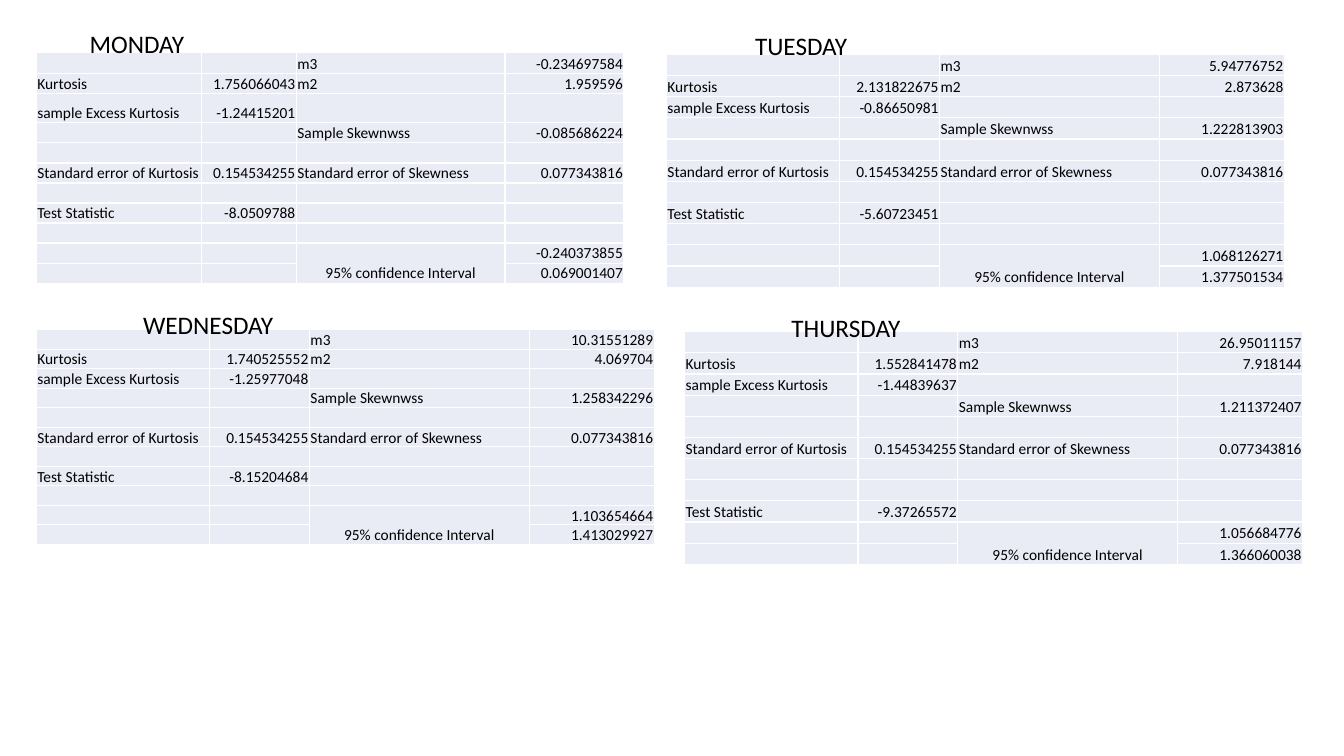
from lxml.etree import SubElement
from pptx import Presentation
from pptx.dml.color import RGBColor
from pptx.enum.text import MSO_ANCHOR, MSO_AUTO_SIZE, PP_ALIGN
from pptx.oxml.ns import qn
from pptx.util import Inches, Pt

FONT = "Calibri"
BLACK, WHITE, CELL_FILL = "000000", "FFFFFF", "E9EBF5"
ROW_COUNT = 11
INTERVAL_ROW = 9
NARROW_COLUMNS = (1.64, 0.94, 2.07, 1.18)
WIDE_COLUMNS = (1.72, 0.99, 2.18, 1.24)
MONDAY_ROWS = [0.21, 0.19, 0.29] + [0.19] * 8
ALIGNMENTS = (PP_ALIGN.LEFT, PP_ALIGN.RIGHT, PP_ALIGN.LEFT, PP_ALIGN.RIGHT)

# (row, column) of each label; its value stands in the next column
LABELS = {
    (0, 2): "m3",
    (1, 0): "Kurtosis",
    (1, 2): "m2",
    (2, 0): "sample Excess Kurtosis",
    (3, 2): "Sample Skewnwss",
    (5, 0): "Standard error of Kurtosis",
    (5, 2): "Standard error of Skewness",
    (INTERVAL_ROW, 2): "95% confidence Interval",
}

# Values follow the order of LABELS, then the upper end of the interval
DAYS = [
    {"name": "MONDAY", "title": (0.79, 0.23, 1.15), "table": (0.36, 0.52, 5.82, 2.25),
     "columns": NARROW_COLUMNS, "rows": MONDAY_ROWS,
     "values": ["-0.234697584", "1.756066043", "1.959596", "-1.24415201", "-0.085686224",
                "0.154534255", "0.077343816", "-0.240373855", "0.069001407"],
     "test": (7, "-8.0509788")},
    {"name": "TUESDAY", "title": (7.39, 0.25, 1.12), "table": (6.61, 0.54, 6.12, 2.29),
     "columns": WIDE_COLUMNS, "rows": [0.21] * ROW_COUNT,
     "values": ["5.94776752", "2.131822675", "2.873628", "-0.86650981", "1.222813903",
                "0.154534255", "0.077343816", "1.068126271", "1.377501534"],
     "test": (7, "-5.60723451")},
    {"name": "WEDNESDAY", "title": (1.32, 3.02, 1.51), "table": (0.36, 3.27, 6.12, 2.13),
     "columns": WIDE_COLUMNS, "rows": [0.17] * ROW_COUNT,
     "values": ["10.31551289", "1.740525552", "4.069704", "-1.25977048", "1.258342296",
                "0.154534255", "0.077343816", "1.103654664", "1.413029927"],
     "test": (7, "-8.15204684")},
    {"name": "THURSDAY", "title": (7.75, 3.05, 1.29), "table": (6.79, 3.29, 6.12, 2.29),
     "columns": WIDE_COLUMNS, "rows": [0.21] * ROW_COUNT,
     "values": ["26.95011157", "1.552841478", "7.918144", "-1.44839637", "1.211372407",
                "0.154534255", "0.077343816", "1.056684776", "1.366060038"],
     "test": (8, "-9.37265572")},
]


def color(hex_value):
    return RGBColor.from_string(hex_value)


def format_runs(paragraph, size):
    for run in paragraph.runs:
        run.font.name = FONT
        run.font.size = Pt(size)
        run.font.color.rgb = color(BLACK)


def add_borders(cell):
    properties = cell._tc.get_or_add_tcPr()
    for side in ("a:lnL", "a:lnR", "a:lnT", "a:lnB"):
        line = SubElement(properties, qn(side), w=str(Pt(1)))
        fill = SubElement(line, qn("a:solidFill"))
        SubElement(fill, qn("a:srgbClr"), val=WHITE)


def format_cell(cell, text, alignment):
    add_borders(cell)
    cell.fill.solid()
    cell.fill.fore_color.rgb = color(CELL_FILL)
    cell.vertical_anchor = MSO_ANCHOR.BOTTOM
    cell.margin_left = cell.margin_right = cell.margin_top = Inches(0.01)
    cell.margin_bottom = 0
    paragraph = cell.text_frame.paragraphs[0]
    paragraph.alignment = alignment
    if text:
        paragraph.text = text
        format_runs(paragraph, 11)
    else:
        # Keeps empty rows as low as the filled ones
        SubElement(paragraph._p, qn("a:endParaRPr"), sz="1100")


def cell_texts(day):
    """Map (row, column) to text for one day."""
    texts = dict(LABELS)
    for (row, column), value in zip(LABELS, day["values"]):
        texts[row, column + 1] = value
    texts[INTERVAL_ROW + 1, 3] = day["values"][-1]
    test_row, statistic = day["test"]
    texts[test_row, 0] = "Test Statistic"
    texts[test_row, 1] = statistic
    return texts


def add_day_table(slide, day):
    left, top, width, height = map(Inches, day["table"])
    frame = slide.shapes.add_table(ROW_COUNT, len(ALIGNMENTS), left, top, width, height)
    table = frame.table
    table.first_row = table.horz_banding = False
    for column, column_width in zip(table.columns, day["columns"]):
        column.width = Inches(column_width)
    for row, row_height in zip(table.rows, day["rows"]):
        row.height = Inches(row_height)
    frame.height = height

    texts = cell_texts(day)
    for row in range(ROW_COUNT):
        for column, alignment in enumerate(ALIGNMENTS):
            format_cell(table.cell(row, column), texts.get((row, column)), alignment)
    interval = table.cell(INTERVAL_ROW, 2)
    interval.merge(table.cell(INTERVAL_ROW + 1, 2))
    interval.text_frame.paragraphs[0].alignment = PP_ALIGN.CENTER


def add_day_title(slide, day):
    left, top, width = map(Inches, day["title"])
    text_frame = slide.shapes.add_textbox(left, top, width, Inches(0.4)).text_frame
    text_frame.word_wrap = False
    text_frame.auto_size = MSO_AUTO_SIZE.SHAPE_TO_FIT_TEXT
    text_frame.text = day["name"]
    format_runs(text_frame.paragraphs[0], 18)


def main():
    presentation = Presentation()
    presentation.slide_width = Inches(13.33)
    presentation.slide_height = Inches(7.5)
    slide = presentation.slides.add_slide(presentation.slide_layouts[6])
    for day in DAYS:
        add_day_table(slide, day)
        add_day_title(slide, day)
    presentation.save("out.pptx")


if __name__ == "__main__":
    main()
